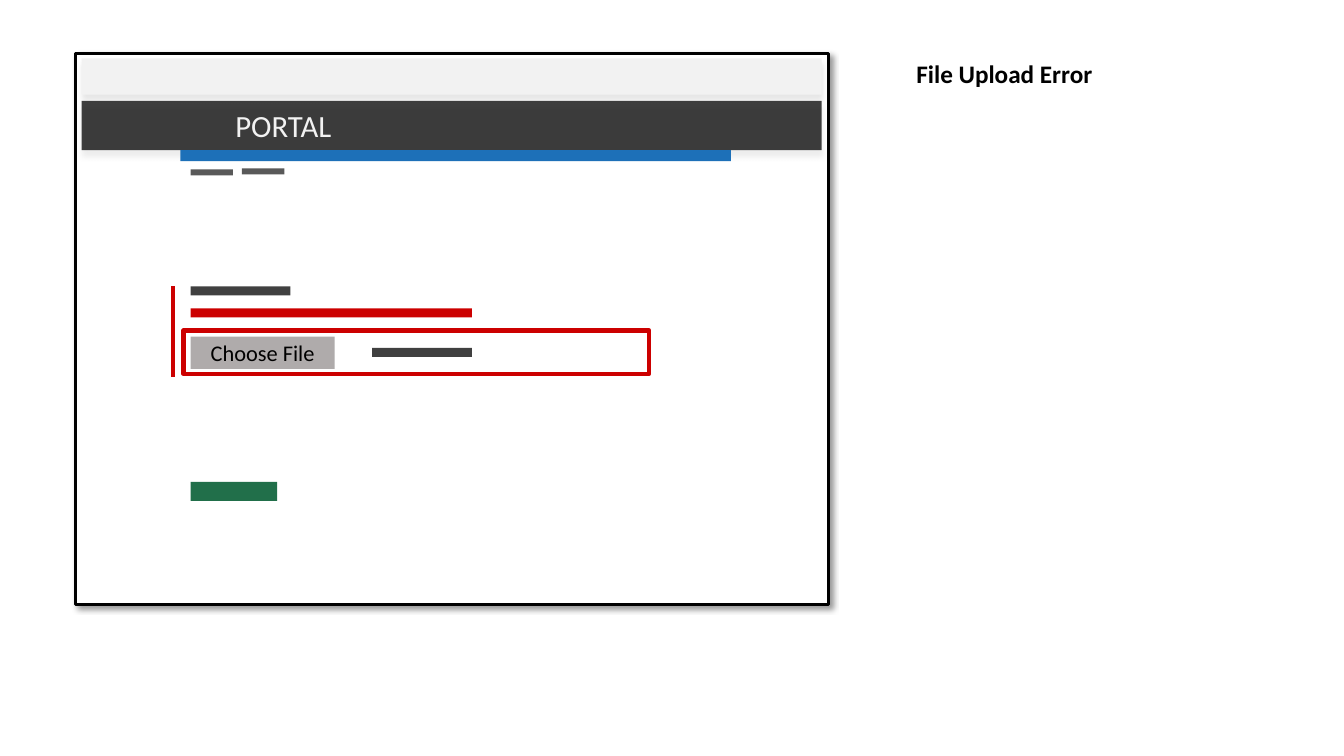
import pptx
import pptx.dml.color
import pptx.enum.shapes
import pptx.enum.text
import pptx.oxml.ns
import pptx.util
from lxml import etree

Inches = pptx.util.Inches
Pt = pptx.util.Pt
qn = pptx.oxml.ns.qn
ALIGN = pptx.enum.text.PP_ALIGN
RED = "CC0000"
DARK = "404040"
GREY = "595959"


def color(code):
    return pptx.dml.color.RGBColor.from_string(code)


def fade(clr, share):
    etree.SubElement(clr, qn("a:alpha"), val=str(share * 1000))


def shade(shape, code, share, blur, dist, angle):
    """Add an outer shadow; blur and distance are in points."""
    effects = shape._element.spPr.find(qn("a:effectLst"))
    outer = etree.SubElement(
        effects, qn("a:outerShdw"), blurRad=str(Pt(blur)), dist=str(Pt(dist)),
        dir=str(angle * 60000), algn="t" if angle == 90 else "tl", rotWithShape="0")
    fade(etree.SubElement(outer, qn("a:srgbClr"), val=code), share)


def block(slide, x, y, w, h, fill=None, line=None, weight=0, alpha=100):
    shape = slide.shapes.add_shape(
        pptx.enum.shapes.MSO_SHAPE.RECTANGLE, Inches(x), Inches(y), Inches(w), Inches(h))
    shape.shadow.inherit = False
    if fill:
        shape.fill.solid()
        shape.fill.fore_color.rgb = color(fill)
        if alpha < 100:
            fade(shape._element.spPr.find(".//" + qn("a:srgbClr")), alpha)
    else:
        shape.fill.background()
    if line:
        shape.line.color.rgb = color(line)
        shape.line.width = Pt(weight)
    else:
        shape.line.fill.background()
    return shape


def write(shape, text, size, code, align=ALIGN.CENTER, bold=False):
    frame = shape.text_frame
    frame.word_wrap = True
    frame.text = text
    para = frame.paragraphs[0]
    para.alignment = align
    font = para.runs[0].font
    font.name, font.size, font.bold = "Calibri", Pt(size), bold
    font.color.rgb = color(code)
    return frame


def label(slide, x, y, w, h, text, size, code, **style):
    box = slide.shapes.add_textbox(Inches(x), Inches(y), Inches(w), Inches(h))
    return write(box, text, size, code, **style)


def header(slide, x, y, w):
    # Browser bar and site banner
    for top, high, fill, alpha in ((0, 0.36, "F2F2F2", 100), (0.42, 0.49, "000000", 75)):
        bar = block(slide, x, y + top, w, high, fill, alpha=alpha)
        shade(bar, "BFBFBF", 37, 4, 4, 90)
    frame = label(slide, x + 1.41, y + 0.47, 1.18, 0.38, "PORTAL", 22, "F2F2F2")
    frame.margin_left = frame.margin_right = 0
    frame.vertical_anchor = pptx.enum.text.MSO_ANCHOR.MIDDLE

    # Blue strip and menu items
    block(slide, x + 0.98, y + 0.91, 5.46, 0.11, "1D70B8")
    block(slide, x + 1.08, y + 1.1, 0.42, 0.06, GREY)
    block(slide, x + 1.59, y + 1.09, 0.42, 0.06, GREY)


def upload(slide, x, y):
    # Field title and error message
    block(slide, x, y, 0.99, 0.09, DARK)
    block(slide, x, y + 0.22, 2.79, 0.09, RED)

    # File chooser inside its error frame
    button = block(slide, x, y + 0.5, 1.43, 0.32, "AFABAB")
    write(button, "Choose File", 16, "000000")
    block(slide, x + 1.8, y + 0.61, 0.99, 0.09, DARK)
    block(slide, x - 0.07, y + 0.44, 4.62, 0.43, line=RED, weight=3)

    # Error rule at the left
    rule = slide.shapes.add_connector(
        pptx.enum.shapes.MSO_CONNECTOR.STRAIGHT,
        Inches(x - 0.17), Inches(y), Inches(x - 0.17), Inches(y + 0.9))
    rule.line.color.rgb = color(RED)
    rule.line.width = Pt(3)
    etree.SubElement(rule._element.spPr, qn("a:effectLst"))


def screen(slide, x, y, w, h):
    page = block(slide, x, y, w, h, "FFFFFF", "000000", 2)
    shade(page, "000000", 40, 4, 3, 45)
    header(slide, x + 0.06, y + 0.05, w - 0.13)
    upload(slide, x + 1.14, y + 2.31)
    # Submit button
    block(slide, x + 1.14, y + 4.25, 0.86, 0.19, "005A30", alpha=87)


def main():
    deck = pptx.Presentation()
    deck.slide_width, deck.slide_height = Inches(13.33), Inches(7.5)
    slide = deck.slides.add_slide(deck.slide_layouts[6])
    screen(slide, 0.75, 0.53, 7.47, 5.47)
    label(slide, 8.99, 0.53, 3.59, 0.71, "File Upload Error", 18, "000000",
          align=ALIGN.LEFT, bold=True)
    deck.save("out.pptx")


if __name__ == "__main__":
    main()
